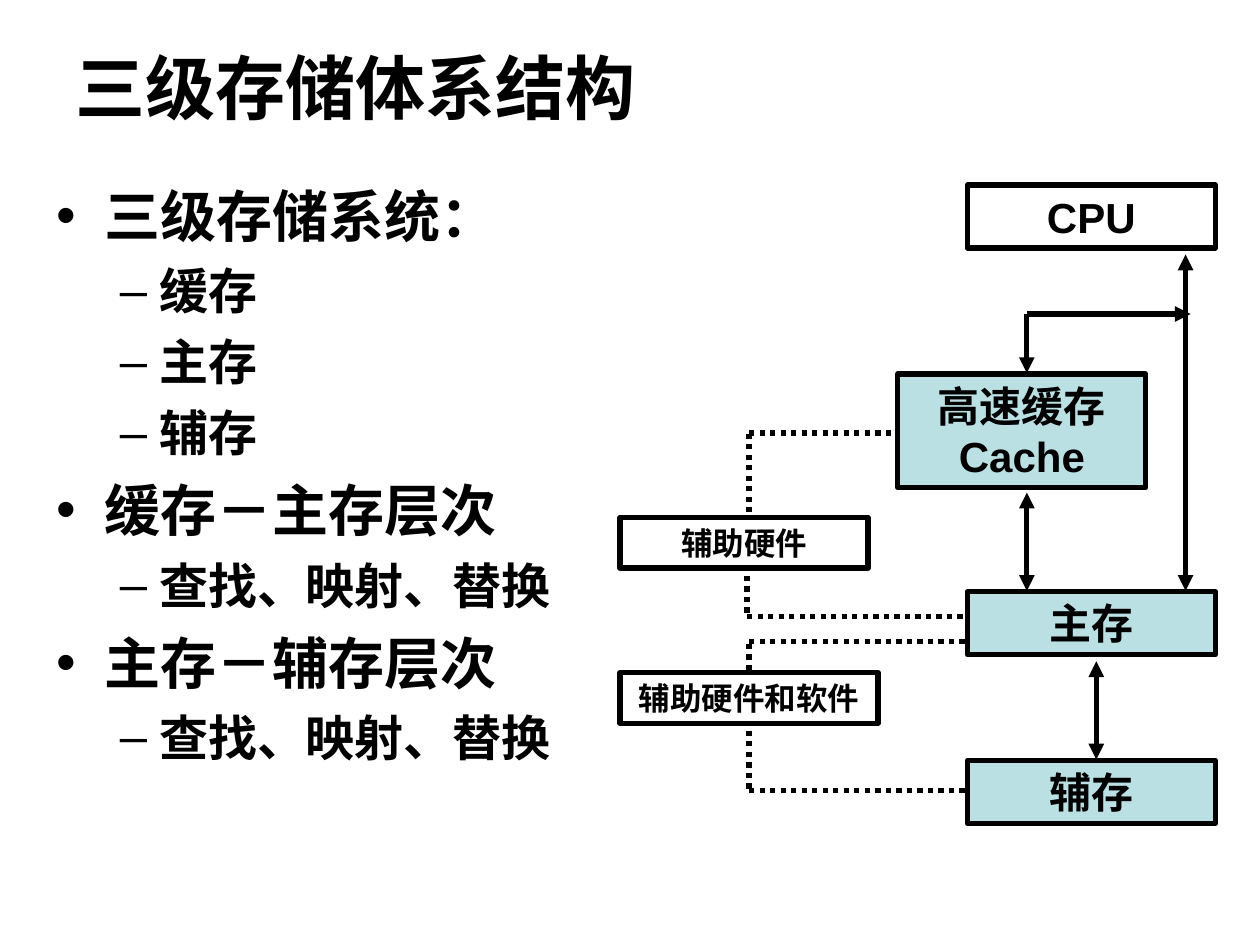
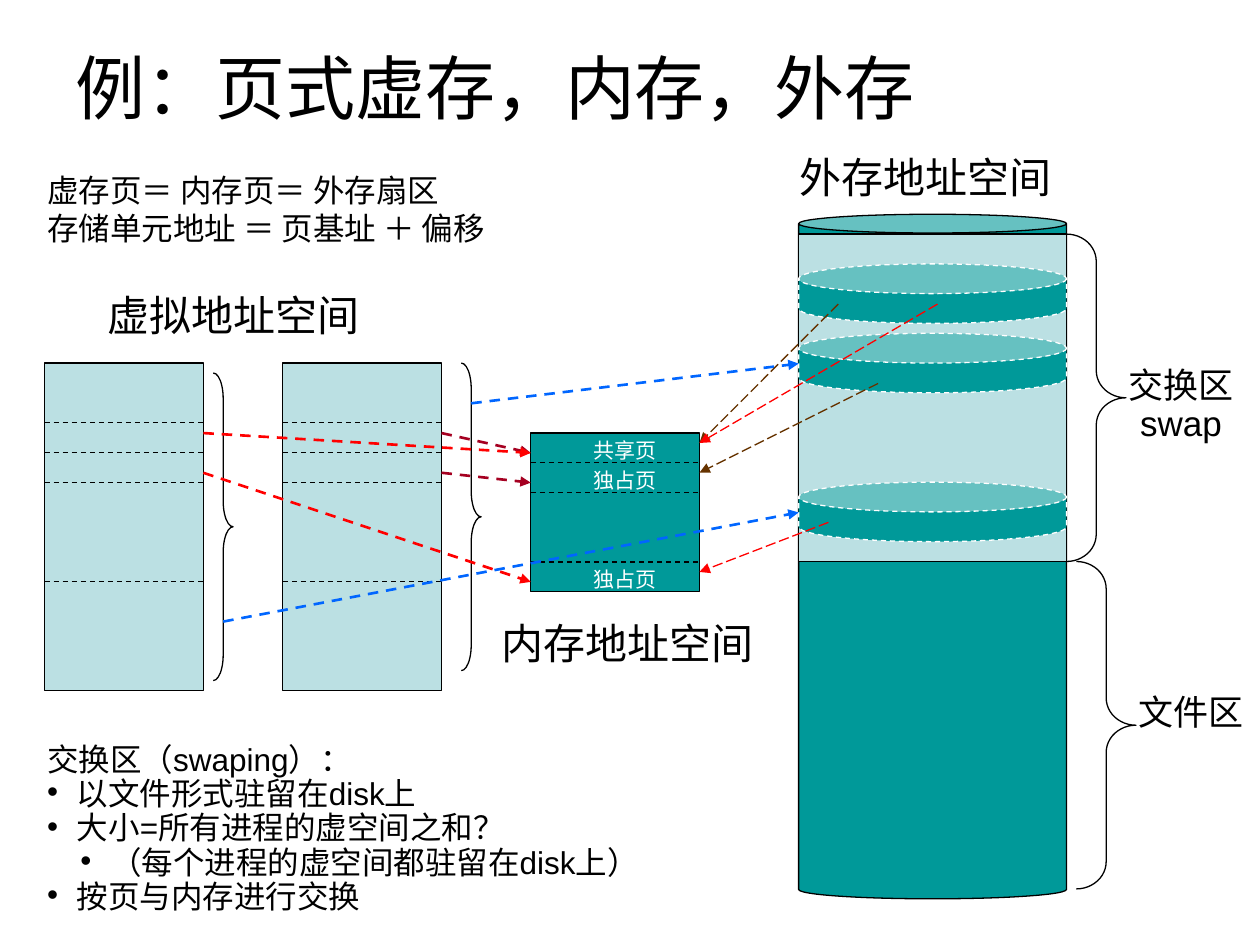
from collections import namedtuple

from pptx import Presentation
from pptx.dml.color import RGBColor
from pptx.enum.dml import MSO_LINE as Dash
from pptx.enum.lang import MSO_LANGUAGE_ID as Language
from pptx.enum.shapes import MSO_CONNECTOR as Connector, MSO_SHAPE as Shape
from pptx.enum.text import MSO_ANCHOR as Anchor, PP_ALIGN as Align
from pptx.oxml.ns import qn
from pptx.util import Cm, Pt
from lxml.etree import SubElement

COLORS = {
    "ink": "000000",
    "white": "FFFFFF",
    "pale": "BBE0E3",
    "teal": "009999",
    "red": "FF0000",
    "crimson": "A50021",
    "blue": "0066FF",
    "brown": "663300",
}

# All lengths are in centimetres.
Box = namedtuple("Box", "left top width height")
Bullet = namedtuple("Bullet", "mark margin hanging")


def rgb(name):
    return RGBColor.from_string(COLORS[name])


def inside(region, left, top, width, height):
    return Box(region.left + left, region.top + top, width, height)


def place(shape, box):
    shape.left, shape.top, shape.width, shape.height = map(Cm, box)


def style_line(line, color, width, dash=None):
    line.color.rgb = rgb(color)
    line.width = Pt(width)
    if dash:
        line.dash_style = dash


def draw_shape(page, kind, box, fill=None, line="ink", width=0.75, dash=None):
    shape = page.shapes.add_shape(kind, *map(Cm, box))
    shape.shadow.inherit = False
    if fill:
        shape.fill.solid()
        shape.fill.fore_color.rgb = rgb(fill)
    else:
        shape.fill.background()
    style_line(shape.line, line, width, dash)
    return shape


def draw_line(page, start, end, color="ink", width=0.75, dash=None, ends=()):
    """Draw a straight line; ends lists the arrowheads, headEnd before tailEnd."""
    line = page.shapes.add_connector(Connector.STRAIGHT, *map(Cm, (*start, *end)))
    style_line(line.line, color, width, dash)
    properties = line._element.spPr
    for end_name in ends:
        SubElement(properties.find(qn("a:ln")), qn("a:" + end_name), type="triangle")
    SubElement(properties, qn("a:effectLst"))


def draw_brace(page, box):
    brace = draw_shape(page, Shape.RIGHT_BRACE, box)
    brace.adjustments[0] = box.height / 12 / box.width


def format_para(para, size, color="ink", bold=False, font="Arial", align=Align.LEFT):
    para.alignment = align
    for run in para.runs:
        run.font.name = font
        run.font.size = Pt(size)
        run.font.bold = bold
        run.font.color.rgb = rgb(color)
        run.font.language_id = Language.SIMPLIFIED_CHINESE


def write(shape, text, size, wrap=True, anchor=Anchor.TOP, compact=False, **style):
    """Fill a shape; compact text has tight lines and a deep top inset."""
    frame = shape.text_frame
    frame.text = text
    frame.word_wrap = wrap
    frame.vertical_anchor = anchor
    if compact:
        frame.margin_top = Cm(0.64)
    for para in frame.paragraphs:
        format_para(para, size, **style)
        if compact:
            para.line_spacing = 0.7
            para.space_before = Pt(size / 4)
    return frame


def add_text(page, box, text, size, **options):
    return write(page.shapes.add_textbox(*map(Cm, box)), text, size, **options)


def add_bullet(para, bullet):
    properties = para._p.get_or_add_pPr()
    properties.set("marL", str(Cm(bullet.margin)))
    properties.set("indent", str(-Cm(bullet.hanging)))
    SubElement(properties, qn("a:buFont"), typeface="Arial")
    SubElement(properties, qn("a:buChar"), char=bullet.mark)


def add_page(deck, title, bold=False):
    page = deck.slides.add_slide(deck.slide_layouts[5])
    place(page.shapes.title, Box(1.27, 0.76, 22.86, 1.96))
    write(page.shapes.title, title, 40, anchor=Anchor.MIDDLE, bold=bold)
    return page


def add_outline(page, box):
    levels = [(32, 8, Bullet("•", 0.95, 0.95)), (28, 7, Bullet("–", 2.06, 0.79))]
    items = [
        (0, "三级存储系统："),
        (1, "缓存"),
        (1, "主存"),
        (1, "辅存"),
        (0, "缓存－主存层次"),
        (1, "查找、映射、替换"),
        (0, "主存－辅存层次"),
        (1, "查找、映射、替换"),
    ]
    frame = add_text(page, box, "\n".join(text for _, text in items), 32)
    for para, (level, _) in zip(frame.paragraphs, items):
        size, space, bullet = levels[level]
        format_para(para, size, bold=True)
        para.level = level
        para.space_before = Pt(space)
        add_bullet(para, bullet)


def add_hierarchy(page, region):
    """Draw the storage levels, their data paths and the helper links."""
    nodes = [
        ("CPU", 24, None, (7, 0, 5, 1.27)),
        ("高速缓存Cache", 24, "pale", (5.6, 3.81, 5, 2.29)),
        ("主存", 24, "pale", (7, 8.2, 5, 1.27)),
        ("辅存", 24, "pale", (7, 11.6, 5, 1.27)),
        ("辅助硬件", 18, None, (0, 6.7, 5, 1.02)),
        ("辅助硬件和软件", 18, None, (0, 9.83, 5.2, 1.02)),
    ]
    for text, size, fill, box in nodes:
        node = draw_shape(page, Shape.RECTANGLE, inside(region, *box), fill, width=3)
        write(node, text, size, bold=True, align=Align.CENTER)

    def link(start, end, **style):
        points = [(region.left + x, region.top + y) for x, y in (start, end)]
        draw_line(page, *points, width=3, **style)

    for x, top, bottom in [(11.4, 1.4, 8.18), (9.6, 9.6, 11.58), (8.2, 6.2, 8.18)]:
        link((x, top), (x, bottom), ends=("headEnd", "tailEnd"))
    branch = (8.2, 2.6)
    link(branch, (8.2, 3.79), ends=("tailEnd",))
    link(branch, (11.5, 2.6), ends=("tailEnd",))

    elbows = [
        (2.6, 6.6, 5, 5.6),
        (2.56, 7.88, 8.7, 6.96),
        (2.6, 9.78, 9.2, 7),
        (2.6, 11, 12.2, 7),
    ]
    for x, helper_edge, level, node_edge in elbows:
        corner = (x, level)
        link((x, helper_edge), corner, dash=Dash.ROUND_DOT)
        link(corner, (node_edge, level), dash=Dash.ROUND_DOT)


def add_page_frames(page, box, fill, offsets):
    """Draw an address space divided by dashed page borders."""
    draw_shape(page, Shape.RECTANGLE, box, fill)
    for offset in offsets:
        y = box.top + offset
        draw_line(page, (box.left, y), (box.left + box.width, y), dash=Dash.DASH)


def add_virtual_space(page, box, brace_left, brace_top):
    add_page_frames(page, box, "pale", (1.2, 1.8, 2.4, 4.4))
    draw_brace(page, inside(box, brace_left, brace_top, 0.4, 6.2))


def add_memory(page, box):
    add_page_frames(page, box, "teal", (0.6, 1.2, 2.6))
    for text, top in [("共享页", -0.4), ("独占页", 0.2), ("独占页", 2.2)]:
        add_text(page, inside(box, 0.8, top, 2.2, 1.1), text, 12, color="white",
                 anchor=Anchor.MIDDLE, compact=True, align=Align.CENTER)


def add_disk(page, box):
    can = draw_shape(page, Shape.CAN, box, "teal")
    can.adjustments[0] = 0.07
    draw_shape(page, Shape.RECTANGLE, inside(box, 0, 0.4, box.width, 6.6), "pale")
    for top in (1, 2.4, 5.4):
        sector = draw_shape(page, Shape.CAN, inside(box, 0, top, box.width, 1.2),
                            "teal", "white", dash=Dash.DASH)
        sector.adjustments[0] = 0.5
    areas = [("交换区\nswap", 5.4, 0.4, 2.2), ("文件区", 5.6, 7, 2.2)]
    for text, left, top, label_drop in areas:
        draw_brace(page, inside(box, left, top, 1.2, 6.6))
        add_text(page, inside(box, left + 1, top + label_drop, 2.62, 1.4), text, 20,
                 wrap=False, compact=True, align=Align.CENTER)


def add_mappings(page):
    """Link virtual pages to memory and disk, and disk sectors to memory."""
    page_maps = [
        ("crimson", (8.9, 8.73), (10.7, 9.13)),
        ("crimson", (8.9, 9.53), (10.7, 9.73)),
        ("red", (4.1, 8.73), (10.7, 9.13)),
        ("red", (4.1, 9.53), (10.7, 11.73)),
        ("blue", (9.5, 8.13), (16.1, 7.33)),
        ("blue", (4.5, 12.53), (16.1, 10.33)),
    ]
    sector_maps = [
        ("brown", (17.7, 7.73), (14.1, 9.53)),
        ("brown", (16.9, 6.13), (14.1, 8.93)),
        ("red", (16.7, 10.53), (14.1, 11.53)),
        ("red", (18.9, 6.13), (14.1, 8.93)),
    ]
    for maps, width, dash in [(page_maps, 1.5, Dash.DASH),
                              (sector_maps, 0.75, Dash.LONG_DASH)]:
        for color, start, end in maps:
            draw_line(page, start, end, color, width, dash, ("tailEnd",))


def add_swap_notes(page, box):
    lines = [
        "交换区（swaping）：",
        "以文件形式驻留在disk上",
        "大小=所有进程的虚空间之和？",
        "（每个进程的虚空间都驻留在disk上）",
        "按页与内存进行交换",
    ]
    frame = add_text(page, box, "\n".join(lines), 18, compact=True)
    for para, margin in zip(frame.paragraphs[1:], (0.6, 0.6, 1.27, 0.6)):
        add_bullet(para, Bullet("•", margin, 0.6))


def build_hierarchy_page(deck):
    page = add_page(deck, "三级存储体系结构", bold=True)
    add_outline(page, Box(0.9, 3.53, 11, 13.5))
    add_hierarchy(page, Box(12.5, 3.73, 12, 12.87))


def build_paging_page(deck):
    page = add_page(deck, "例：页式虚存，内存，外存")
    add_text(page, Box(0.7, 3.33, 15.2, 1.78),
             "虚存页＝ 内存页＝ 外存扇区\n存储单元地址 ＝ 页基址 ＋ 偏移", 18)
    add_disk(page, Box(16.1, 4.32, 5.4, 13.8))
    add_virtual_space(page, Box(0.9, 7.32, 3.2, 6.6), 3.4, 0.2)
    add_virtual_space(page, Box(5.7, 7.32, 3.2, 6.6), 3.6, 0)
    add_memory(page, Box(10.7, 8.73, 3.4, 3.2))
    add_mappings(page)
    for text, left, top in [("虚拟地址空间", 1.74, 5.72),
                            ("内存地址空间", 9.7, 12.32),
                            ("外存地址空间", 15.7, 2.92)]:
        add_text(page, Box(left, top, 5.92, 1.27), text, 24,
                 font="Roboto", align=Align.CENTER)
    add_swap_notes(page, Box(0.7, 14.48, 13.9, 4.06))


def main():
    deck = Presentation()
    deck.slide_width, deck.slide_height = Cm(25.4), Cm(19.05)
    build_hierarchy_page(deck)
    build_paging_page(deck)
    deck.save("out.pptx")


if __name__ == "__main__":
    main()
